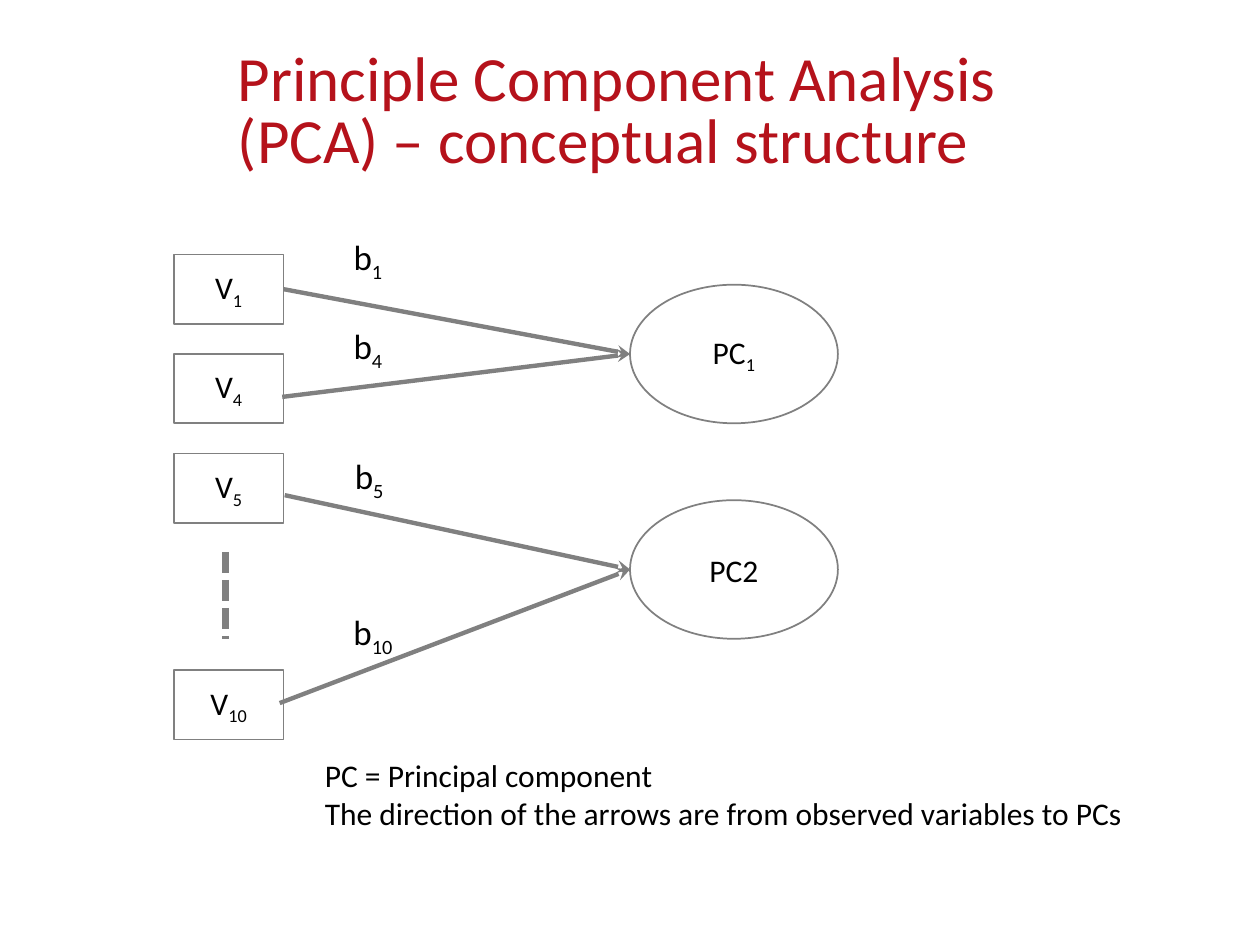
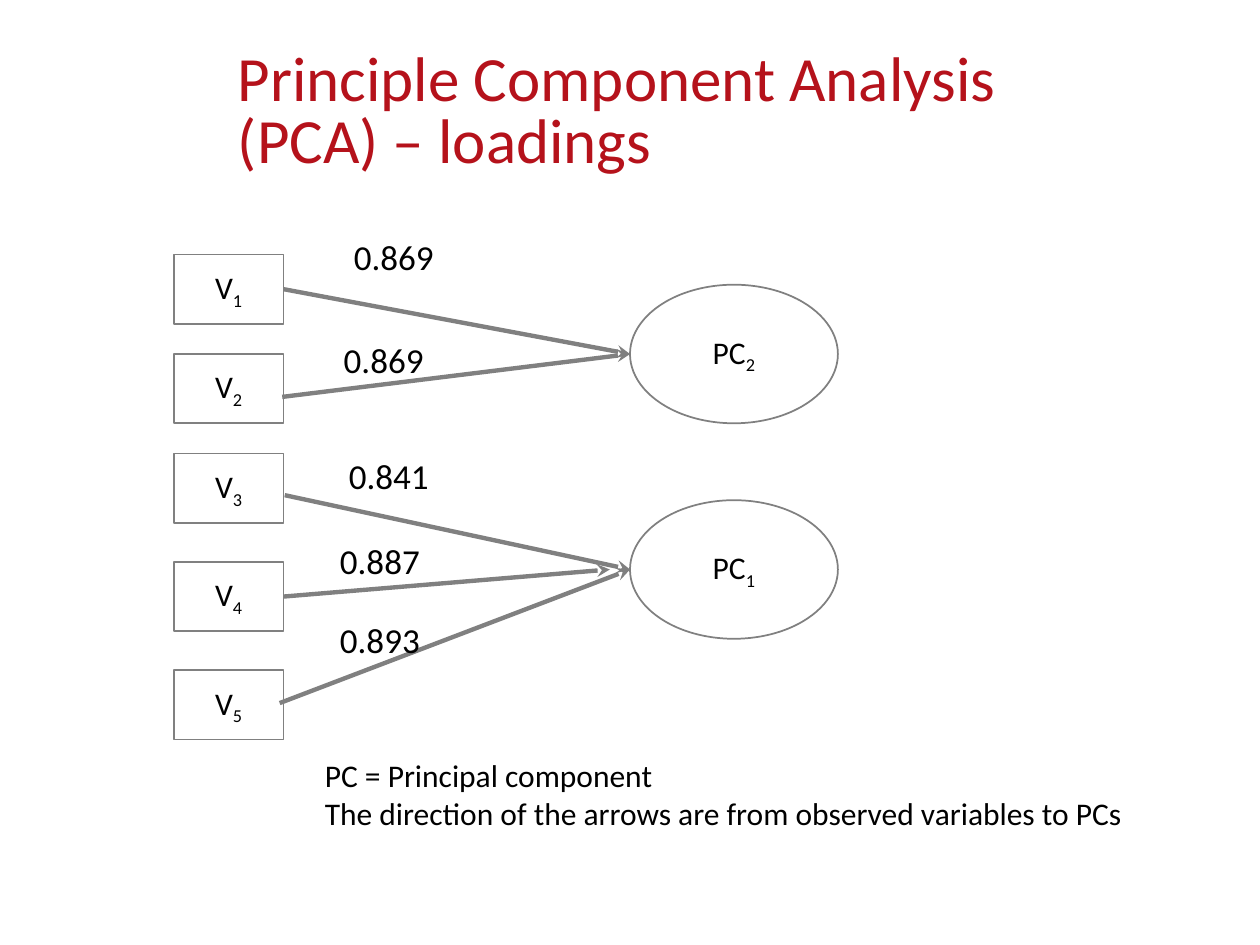
from dataclasses import dataclass

from lxml.etree import SubElement
from pptx import Presentation
from pptx.dml.color import RGBColor
from pptx.enum.dml import MSO_LINE
from pptx.enum.shapes import MSO_CONNECTOR, MSO_SHAPE
from pptx.enum.text import MSO_ANCHOR, MSO_AUTO_SIZE, PP_ALIGN
from pptx.oxml.ns import qn
from pptx.util import Inches, Pt


@dataclass(frozen=True)
class Theme:
    font: str = "Calibri"
    title_color: RGBColor = RGBColor(0xB5, 0x12, 0x1B)
    ink: RGBColor = RGBColor(0, 0, 0)
    grey: RGBColor = RGBColor(0x80, 0x80, 0x80)
    title_size: int = 36
    title_leading: int = 35
    weight_size: int = 20
    body_size: int = 18
    outline: float = 1
    arrow: float = 2.5
    dots: float = 4


THEME = Theme()

# Content: "_" starts a subscript
NOTE = ["PC = Principal component",
        "The direction of the arrows are from observed variables to PCs"]

# variables: row -> name; weights: (text, left, top, width)
SLIDES = [
    {"title": "Principle Component Analysis (PCA) – conceptual structure",
     "components": ["PC_1", "PC2"],
     "variables": {0: "V_1", 1: "V_4", 2: "V_5", 4: "V_10"},
     "weights": [("b_1", 2.58, 1.82, 0.68), ("b_4", 2.58, 2.53, 0.68),
                 ("b_5", 2.59, 3.56, 0.68), ("b_10", 2.62, 4.8, 0.68)]},
    {"title": "Principle Component Analysis (PCA) – loadings",
     "components": ["PC_2", "PC_1"],
     "variables": {0: "V_1", 1: "V_2", 2: "V_3", 3: "V_4", 4: "V_5"},
     "weights": [("0.869", 2.58, 1.82, 1.09), ("0.869", 2.5, 2.64, 1.09),
                 ("0.841", 2.59, 3.56, 0.99), ("0.887", 2.52, 4.23, 0.99),
                 ("0.893", 2.52, 4.86, 0.99)]},
]

# Layout in inches
VARIABLE_LEFT, VARIABLE_W, VARIABLE_H = 1.38, 0.87, 0.55
UPPER_PITCH, LOWER_PITCH = 0.79, 0.86
VARIABLE_TOPS = ([2.02 + UPPER_PITCH * row for row in range(3)]
                 + [3.6 + LOWER_PITCH * row for row in (1, 2)])
COMPONENT_LEFT, COMPONENT_W, COMPONENT_H = 5, 1.65, 1.1
COMPONENT_TOPS = [2.26, 3.97]
WEIGHT_H = 0.44
TITLE_BOX = (1.79, 0.28, 7.4, 1.26)
NOTE_BOX = (2.48, 5.95, 6.6, 0.71)
GAP_DOTS = ((1.79, 4.38), (1.79, 5.07))

# Arrow of each variable row: start, tip x, component index;
# a start of None is the middle of the variable's right side
ARROWS = [(None, 5, 0), ((2.24, 3.15), 5, 0), ((2.26, 3.93), 5, 1),
          (None, 4.84, 1), ((2.22, 5.58), 5, 1)]


def write(frame, lines, size, color=THEME.ink, align=PP_ALIGN.CENTER):
    for index, line in enumerate(lines):
        paragraph = frame.paragraphs[0] if index == 0 else frame.add_paragraph()
        paragraph.alignment = align
        base, _, subscript = line.partition("_")
        paragraph.add_run().text = base
        if subscript:
            lowered = paragraph.add_run()
            lowered.text = subscript
            lowered._r.get_or_add_rPr().set("baseline", "-25000")
        font = paragraph.font
        font.name, font.size, font.color.rgb = THEME.font, Pt(size), color


def add_text(slide, box, lines, size, wrap=True, **style):
    frame = slide.shapes.add_textbox(*map(Inches, box)).text_frame
    frame.word_wrap = wrap
    frame.auto_size = MSO_AUTO_SIZE.SHAPE_TO_FIT_TEXT
    write(frame, lines, size, **style)
    return frame


def add_node(slide, kind, box, label):
    node = slide.shapes.add_shape(kind, *map(Inches, box))
    node.shadow.inherit = False
    node.fill.background()
    node.line.color.rgb = THEME.grey
    node.line.width = Pt(THEME.outline)
    node.text_frame.vertical_anchor = MSO_ANCHOR.MIDDLE
    write(node.text_frame, [label], THEME.body_size)
    return node


def add_line(slide, start, end, width):
    line = slide.shapes.add_connector(
        MSO_CONNECTOR.STRAIGHT, *map(Inches, (*start, *end)))
    line.line.color.rgb = THEME.grey
    line.line.width = Pt(width)
    SubElement(line._element.spPr, qn("a:effectLst"))
    return line


def add_arrow(slide, row, variable):
    start, tip_x, component = ARROWS[row]
    middle = (VARIABLE_LEFT + VARIABLE_W, VARIABLE_TOPS[row] + VARIABLE_H / 2)
    tip = (tip_x, COMPONENT_TOPS[component] + COMPONENT_H / 2)
    arrow = add_line(slide, start or middle, tip, THEME.arrow)
    SubElement(arrow.line._get_or_add_ln(), qn("a:tailEnd"), type="stealth")
    if start is None:
        arrow.begin_connect(variable, 3)


def build_slide(deck, content):
    slide = deck.slides.add_slide(deck.slide_layouts[6])

    # Title and note
    title = add_text(slide, TITLE_BOX, [content["title"]], THEME.title_size,
                     color=THEME.title_color, align=PP_ALIGN.LEFT)
    title.auto_size = MSO_AUTO_SIZE.NONE
    title.vertical_anchor = MSO_ANCHOR.MIDDLE
    title.paragraphs[0].line_spacing = Pt(THEME.title_leading)
    add_text(slide, NOTE_BOX, NOTE, THEME.body_size, wrap=False,
             align=PP_ALIGN.LEFT)

    # Components
    for label, top in zip(content["components"], COMPONENT_TOPS):
        add_node(slide, MSO_SHAPE.OVAL,
                 (COMPONENT_LEFT, top, COMPONENT_W, COMPONENT_H), label)

    # Variables and their arrows; dots stand for the rows left out
    for row, label in content["variables"].items():
        box = (VARIABLE_LEFT, VARIABLE_TOPS[row], VARIABLE_W, VARIABLE_H)
        add_arrow(slide, row, add_node(slide, MSO_SHAPE.RECTANGLE, box, label))
    if len(content["variables"]) < len(VARIABLE_TOPS):
        dots = add_line(slide, *GAP_DOTS, THEME.dots)
        dots.line.dash_style = MSO_LINE.SQUARE_DOT

    # Weights
    for label, left, top, width in content["weights"]:
        add_text(slide, (left, top, width, WEIGHT_H), [label],
                 THEME.weight_size)


def main():
    deck = Presentation()
    deck.slide_width, deck.slide_height = Inches(10), Inches(7.5)
    for content in SLIDES:
        build_slide(deck, content)
    deck.save("out.pptx")


if __name__ == "__main__":
    main()
